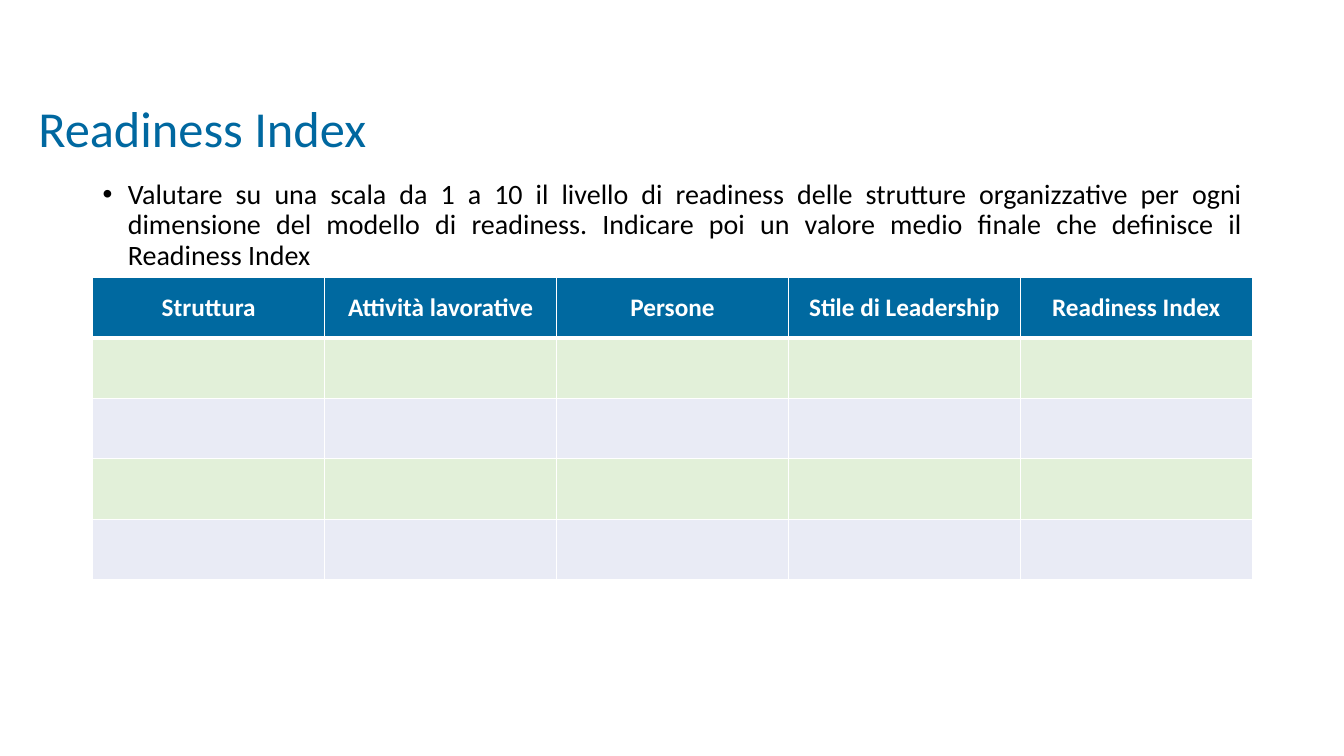
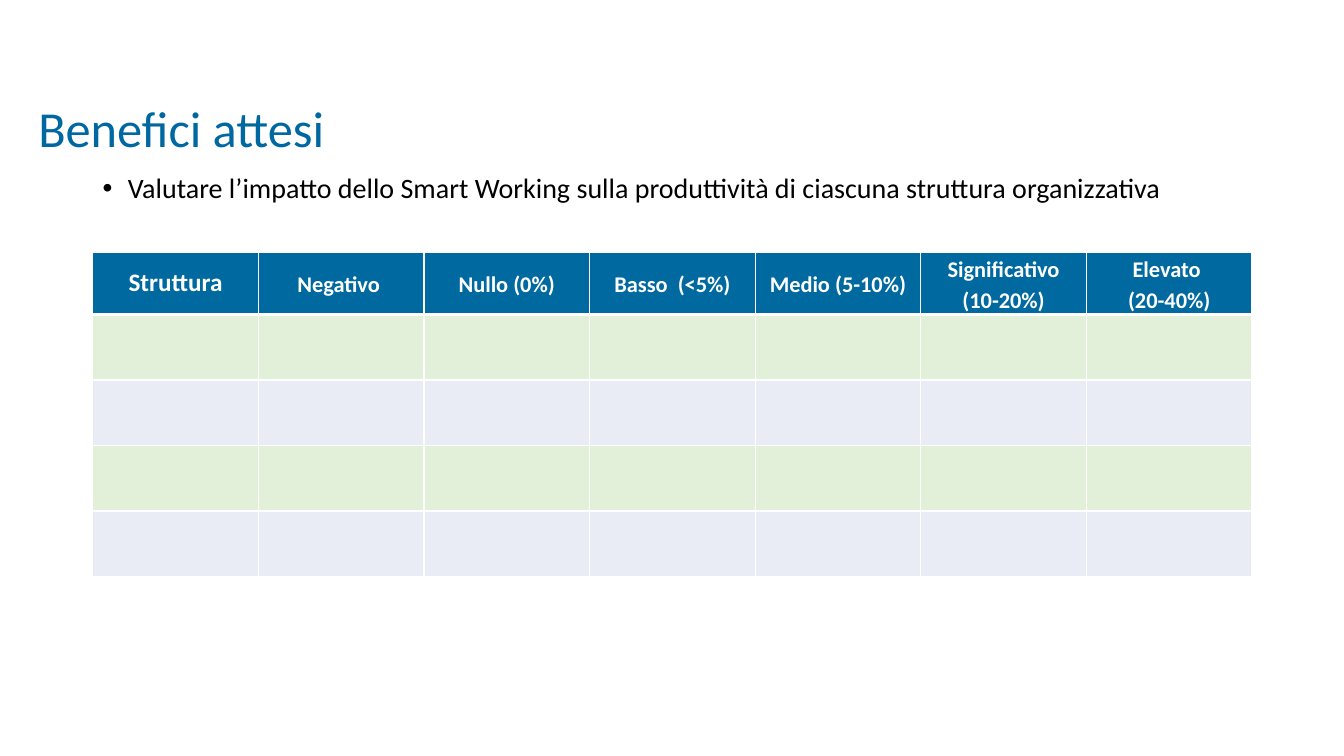
import pptx
import pptx.util
import pptx.dml.color
import pptx.enum.text
import pptx.oxml
import lxml.etree

Inches, Pt = pptx.util.Inches, pptx.util.Pt
ALIGN, ANCHOR = pptx.enum.text.PP_ALIGN, pptx.enum.text.MSO_ANCHOR

# Shared style
FONT = "Calibri"
TITLE_BLUE, HEADER_BLUE = "0068A0", "0069A0"
BAND_FILLS = ["E2F0D9", "E9EBF5"]
WHITE, BLACK = "FFFFFF", "000000"
LEFT, WIDTH = 0.92, 11.5
BODY_ROWS = 4


def color(text):
    return pptx.dml.color.RGBColor.from_string(text)


def style(para, size, fill, align, spacing, bold=False):
    para.font.name, para.font.size, para.font.bold = FONT, Pt(size), bold
    para.font.color.rgb = color(fill)
    para.alignment, para.line_spacing = align, spacing


# Each header label is text, with its size and line spacing
pages = [
    dict(
        title="Readiness Index",
        task="Valutare su una scala da 1 a 10 il livello di readiness delle strutture "
             "organizzative per ogni dimensione del modello di readiness. Indicare poi "
             "un valore medio finale che definisce il Readiness Index ",
        task_top=1.74, task_align=ALIGN.JUSTIFY,
        table_top=2.75, header_height=0.6, row_height=0.6,
        labels=["Struttura", "Attività lavorative", "Persone",
                "Stile di Leadership", "Readiness Index"],
        scale_labels=[],
    ),
    dict(
        title="Benefici attesi",
        task="Valutare l’impatto dello Smart Working sulla produttività di ciascuna "
             "struttura organizzativa",
        task_top=1.68, task_align=ALIGN.LEFT,
        table_top=2.5, header_height=0.62, row_height=0.65,
        labels=["Struttura"],
        scale_labels=["Negativo ", "Nullo (0%)", "Basso  (<5%)", "Medio (5-10%)",
                      "Significativo (10-20%)", "Elevato \n(20-40%)"],
    ),
]

deck = pptx.Presentation()
deck.slide_width, deck.slide_height = Inches(13.33), Inches(7.5)

for content in pages:
    page = deck.slides.add_slide(deck.slide_layouts[5])

    # Title
    title = page.shapes.title
    title.left, title.top = Inches(0.28), Inches(0.58)
    title.width, title.height = Inches(WIDTH), Inches(1.45)
    title.text_frame.text = content["title"]
    title.text_frame.vertical_anchor = ANCHOR.MIDDLE
    style(title.text_frame.paragraphs[0], 36, TITLE_BLUE, ALIGN.LEFT, 0.9)

    # Bulleted task
    box = page.shapes.add_textbox(Inches(LEFT), Inches(content["task_top"]),
                                  Inches(WIDTH), Inches(3.71))
    box.text_frame.word_wrap = True
    para = box.text_frame.paragraphs[0]
    para.text = content["task"]
    style(para, 20, BLACK, content["task_align"], 0.9)
    para.space_before = Pt(10)
    properties = para._p.get_or_add_pPr()
    properties.set("marL", str(Inches(0.25)))
    properties.set("indent", str(-Inches(0.25)))
    for tag, name, value in [("a:buFont", "typeface", "Arial"), ("a:buChar", "char", "•")]:
        bullet = lxml.etree.Element(pptx.oxml.ns.qn(tag), {name: value})
        properties.insert_element_before(bullet, "a:tabLst", "a:defRPr", "a:extLst")

    # Table grid
    labels = content["labels"] + content["scale_labels"]
    heights = [content["header_height"]] + [content["row_height"]] * BODY_ROWS
    table = page.shapes.add_table(len(heights), len(labels), Inches(LEFT),
                                  Inches(content["table_top"]), Inches(WIDTH),
                                  Inches(sum(heights))).table
    for row, height in zip(table.rows, heights):
        row.height = Inches(height)

    # White borders, thicker below the header, and banded fills
    for r, row in enumerate(table.rows):
        for cell in row.cells:
            edges = {"L": 1, "R": 1, "T": 3 if r == 1 else 1, "B": 3 if r == 0 else 1}
            for side, points in edges.items():
                cell._tc.get_or_add_tcPr().append(pptx.oxml.parse_xml(
                    f'<a:ln{side} {pptx.oxml.ns.nsdecls("a")} w="{Pt(points)}">'
                    f'<a:solidFill><a:srgbClr val="{WHITE}"/></a:solidFill></a:ln{side}>'))
            cell.fill.solid()
            fill = HEADER_BLUE if r == 0 else BAND_FILLS[(r - 1) % 2]
            cell.fill.fore_color.rgb = color(fill)

    # Header labels
    for c, label in enumerate(labels):
        cell = table.cell(0, c)
        cell.text_frame.text = label
        cell.vertical_anchor = ANCHOR.MIDDLE
        size, spacing = 18, 1.0
        if label in content["scale_labels"]:
            size, spacing = 16, 1.15
            cell.margin_left = cell.margin_right = Inches(0.07)
            cell.margin_top = cell.margin_bottom = 0
        for para in cell.text_frame.paragraphs:
            style(para, size, WHITE, ALIGN.CENTER, spacing, bold=True)

deck.save("out.pptx")
